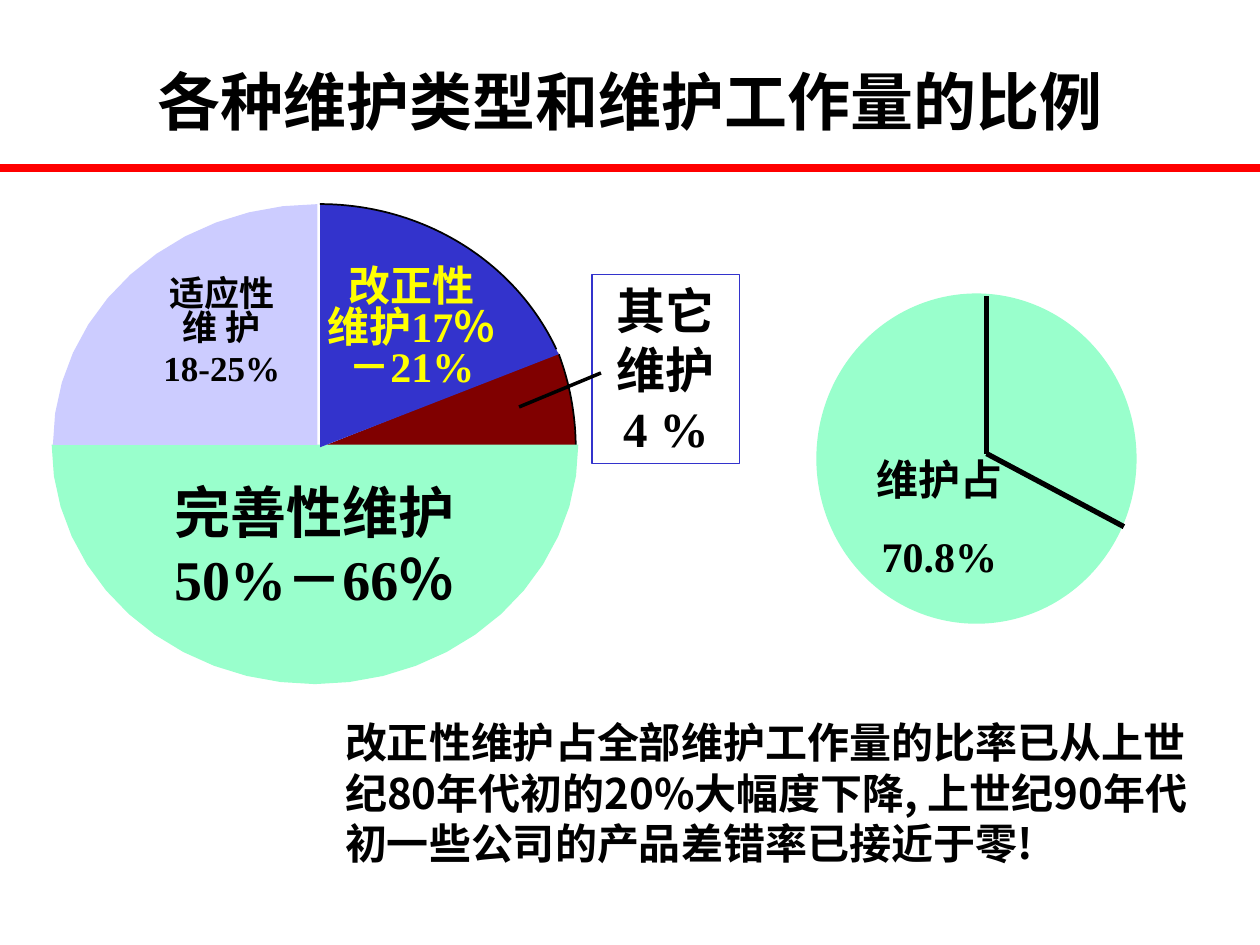
from dataclasses import dataclass
from math import cos, radians, sin

from lxml import etree
from pptx import Presentation
from pptx import util as u
from pptx.dml.color import RGBColor
from pptx.enum import shapes, text
from pptx.oxml import ns


@dataclass(frozen=True)
class Theme:
    black: str = "000000"
    red: str = "FF0000"
    yellow: str = "FFFF00"
    blue: str = "3333CC"
    maroon: str = "800000"
    mint: str = "99FFCC"
    lavender: str = "CCCCFF"
    latin: str = "Times New Roman"
    chinese: str = "Noto Sans CJK SC"
    title: int = 36
    large: int = 32
    callout: int = 28
    body: int = 24
    small: int = 20


def write(frame, lines, size, color, font, align=text.PP_ALIGN.CENTER,
          spacing=(), before=0, margins=(0.1, 0.05),
          anchor=text.MSO_ANCHOR.TOP):
    frame.word_wrap = True
    frame.vertical_anchor = anchor
    frame.margin_left = frame.margin_right = u.Inches(margins[0])
    frame.margin_top = frame.margin_bottom = u.Inches(margins[1])
    for index, line in enumerate(lines):
        paragraph = frame.add_paragraph() if index else frame.paragraphs[0]
        paragraph.alignment = align
        paragraph.space_before = u.Pt(before)
        if index < len(spacing):
            paragraph.line_spacing = spacing[index]
        run = paragraph.add_run()
        run.text = line
        run.font.size, run.font.bold, run.font.name = u.Pt(size), True, font
        run.font.color.rgb = RGBColor.from_string(color)
        etree.SubElement(run.font._element, ns.qn("a:ea"), typeface=Theme.chinese)


class Slide:
    """Draws styled elements on one slide."""

    def __init__(self, slide, theme):
        self.shapes = slide.shapes
        self.theme = theme

    def paint(self, shape, fill=None, line=None, width=1):
        shape.shadow.inherit = False
        if fill:
            shape.fill.solid()
            shape.fill.fore_color.rgb = RGBColor.from_string(fill)
        else:
            shape.fill.background()
        if line:
            shape.line.color.rgb = RGBColor.from_string(line)
            shape.line.width = u.Pt(width)
        else:
            shape.line.fill.background()

    def label(self, box, lines, size, color=None, font=None, **layout):
        frame = self.shapes.add_textbox(*map(u.Inches, box)).text_frame
        write(frame, lines, size, color or self.theme.black,
              font or self.theme.latin, **layout)

    def preset(self, kind, box, **paint):
        shape = self.shapes.add_shape(kind, *map(u.Inches, box))
        self.paint(shape, **paint)
        return shape

    def line(self, start, end, width, color=None):
        connector = self.shapes.add_connector(
            shapes.MSO_CONNECTOR.STRAIGHT, *map(u.Inches, start + end))
        connector.line.color.rgb = RGBColor.from_string(color or self.theme.black)
        connector.line.width = u.Pt(width)
        etree.SubElement(connector._element.spPr, ns.qn("a:effectLst"))

    def wedge(self, center, radii, start, end, fill, rim=None):
        (x, y), (rx, ry) = center, radii
        steps = max(3, round((end - start) / 7.5))
        angles = [radians(start + (end - start) * i / steps)
                  for i in range(steps + 1)]
        arc = [(u.Inches(x + rx * cos(a)), u.Inches(y + ry * sin(a)))
               for a in angles]
        builder = self.shapes.build_freeform(u.Inches(x), u.Inches(y))
        builder.add_line_segments(arc, close=True)
        self.paint(builder.convert_to_shape(), fill=fill)
        if rim:
            curve = self.preset(shapes.MSO_SHAPE.ARC,
                                (x - rx, y - ry, 2 * rx, 2 * ry), line=rim)
            for index, angle in enumerate((start, end)):
                curve.adjustments[index] = angle % 360 * 0.6


def main():
    theme = Theme()
    deck = Presentation()
    deck.slide_width, deck.slide_height = u.Inches(10), u.Inches(7.5)
    slide = Slide(deck.slides.add_slide(deck.slide_layouts[6]), theme)

    slide.label((0.75, 0.17, 8.5, 1.25), ["各种维护类型和维护工作量的比例"],
                theme.title, anchor=text.MSO_ANCHOR.MIDDLE)
    slide.line((0, 1.33), (10, 1.33), 4.5, theme.red)

    slide.wedge((2.52, 3.56), (2.05, 2.1), -21.3, -0.8, theme.maroon, theme.black)
    slide.wedge((2.5, 3.53), (2.09, 1.9), 0, 180, theme.mint)
    other = slide.preset(shapes.MSO_SHAPE.RECTANGLE, (4.7, 2.18, 1.17, 1.5),
                         line=theme.blue)
    write(other.text_frame, ["其它", "维护", "4 %"], theme.callout,
          theme.black, theme.latin)
    slide.wedge((2.52, 3.53), (2.1, 1.91), 180, 270, theme.lavender)
    slide.wedge((2.54, 3.55), (2.05, 1.93), -90, -22.5, theme.blue, theme.black)

    slide.label((1.05, 2.17, 1.42, 0.96), ["适应性", "维 护", "18-25%"],
                theme.small, spacing=(0.8, 0.8))
    slide.label((2.37, 2.09, 1.79, 1.06), ["改正性", "维护17％－21%"],
                theme.body, theme.yellow, spacing=(0.8, 0.8))
    slide.label((1.25, 3.74, 2.49, 1.7), ["完善性维护50%－66％"], theme.large)
    slide.line((4.12, 3.23), (4.77, 2.96), 2)

    slide.preset(shapes.MSO_SHAPE.OVAL, (6.5, 2.35, 2.5, 2.58),
                 fill=theme.mint, line=theme.mint, width=3)
    hub = (7.83, 3.6)
    slide.line((7.83, 2.35), hub, 3)
    slide.line(hub, (8.92, 4.18), 3)
    slide.label((6.33, 3.6, 2.25, 1.01), ["维护占", "70.8%"], theme.body,
                before=15, margins=(0, 0))

    slide.label((2.64, 5.64, 7.17, 1.3),
                ["改正性维护占全部维护工作量的比率已从上世纪80年代初的20%大幅度下降, "
                 "上世纪90年代初一些公司的产品差错率已接近于零!"],
                theme.body, font=theme.chinese, align=text.PP_ALIGN.LEFT)
    deck.save("out.pptx")


if __name__ == "__main__":
    main()
